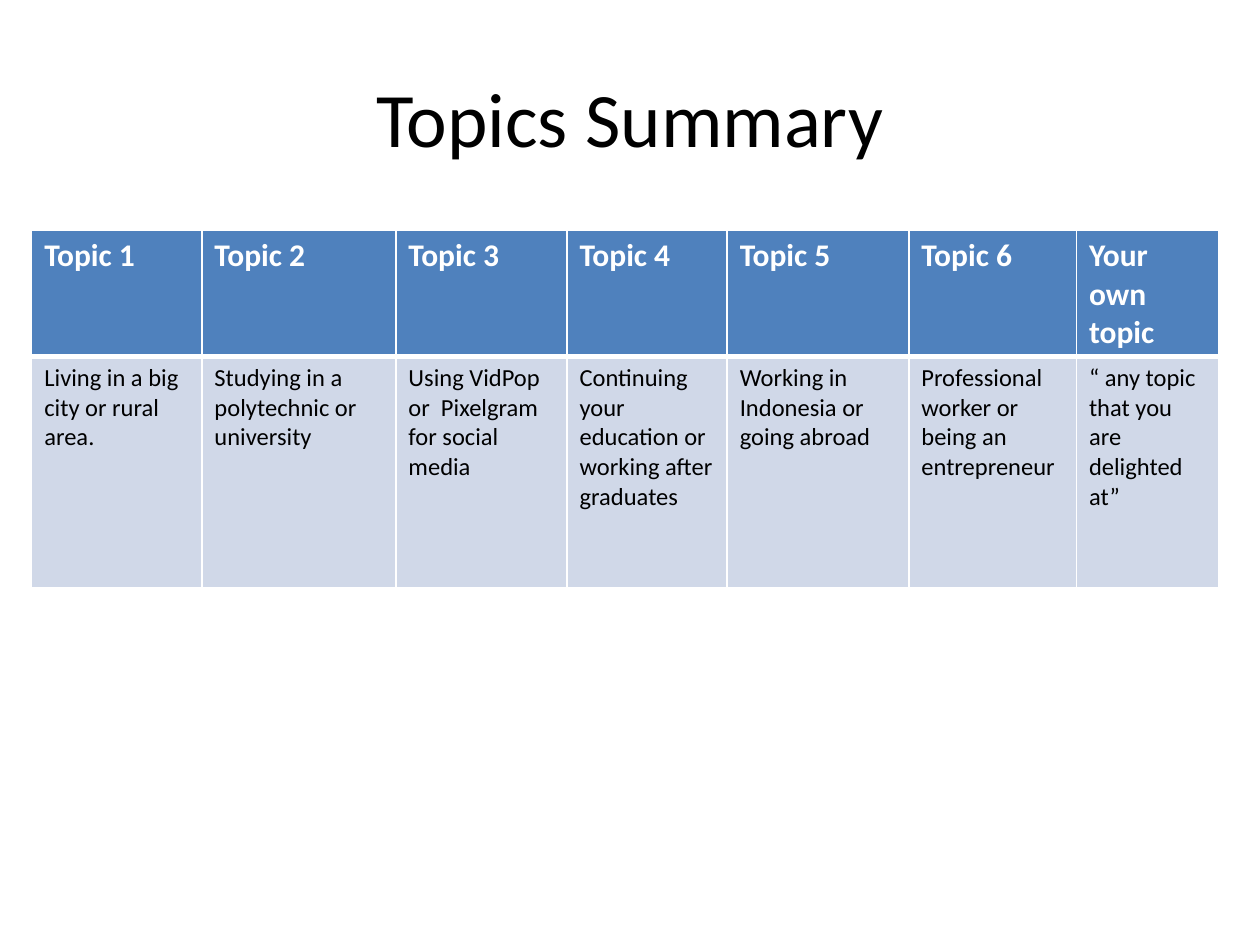
import lxml.etree
import pptx
import pptx.dml.color
import pptx.enum.text
import pptx.oxml.ns
import pptx.util

Cm = pptx.util.Cm
Pt = pptx.util.Pt

COLOURS = {
    "text": "000000",
    "header_text": "FFFFFF",
    "header_fill": "4F81BD",
    "body_fill": "D0D8E8",
    "border": "FFFFFF",
}
FORMATS = {
    "title": {"name": "Calibri", "size": Pt(44), "bold": False},
    "header": {"name": "Calibri", "size": Pt(18), "bold": True},
    "body": {"name": "Calibri", "size": Pt(14), "bold": False},
}
TOPICS = [
    ("Topic 1", "Living in a big city or rural area.", 3.43),
    ("Topic 2", "Studying in a polytechnic or university", 3.91),
    ("Topic 3", "Using VidPop or  Pixelgram for social media", 3.45),
    ("Topic 4", "Continuing your education or working after graduates", 3.23),
    ("Topic 5", "Working in Indonesia or going abroad", 3.66),
    ("Topic 6", "Professional worker or being an entrepreneur", 3.38),
    ("Your own topic", "“ any topic that you are delighted at”", 2.87),
]
ROWS = [
    {"style": "header", "text": "header_text", "fill": "header_fill", "height": 2.54,
     "borders": {"lnL": 1, "lnR": 1, "lnT": 1, "lnB": 3}},
    {"style": "body", "text": "text", "fill": "body_fill", "height": 4.65,
     "borders": {"lnL": 1, "lnR": 1, "lnT": 3, "lnB": 1}},
]


def colour(name):
    return pptx.dml.color.RGBColor.from_string(COLOURS[name])


def write(para, text, style, colour_name):
    span = para.add_run()
    span.text = text
    for attribute, value in FORMATS[style].items():
        setattr(span.font, attribute, value)
    span.font.color.rgb = colour(colour_name)


def add_borders(cell, borders):
    qn = pptx.oxml.ns.qn
    properties = cell._tc.get_or_add_tcPr()
    for side, width in borders.items():
        line = lxml.etree.SubElement(properties, qn(f"a:{side}"), w=str(Pt(width)))
        fill = lxml.etree.SubElement(line, qn("a:solidFill"))
        lxml.etree.SubElement(fill, qn("a:srgbClr"), val=COLOURS["border"])


def add_title(page, left, top, width, height):
    box = page.shapes.add_textbox(Cm(left), Cm(top), Cm(width), Cm(height))
    frame = box.text_frame
    frame.word_wrap = True
    frame.vertical_anchor = pptx.enum.text.MSO_ANCHOR.MIDDLE
    para = frame.paragraphs[0]
    para.alignment = pptx.enum.text.PP_ALIGN.CENTER
    write(para, "Topics Summary", "title", "text")


def add_topics(page, left, top, width, height):
    table = page.shapes.add_table(
        len(ROWS), len(TOPICS), Cm(left), Cm(top), Cm(width), Cm(height)
    ).table
    for row, look in zip(table.rows, ROWS):
        row.height = Cm(look["height"])
    for column, (heading, description, column_width) in enumerate(TOPICS):
        table.columns[column].width = Cm(column_width)
        for row, text in enumerate((heading, description)):
            look = ROWS[row]
            cell = table.cell(row, column)
            add_borders(cell, look["borders"])
            cell.fill.solid()
            cell.fill.fore_color.rgb = colour(look["fill"])
            write(cell.text_frame.paragraphs[0], text, look["style"], look["text"])


def main():
    deck = pptx.Presentation()
    deck.slide_width = Cm(25.4)
    deck.slide_height = Cm(19.05)
    page = deck.slides.add_slide(deck.slide_layouts[6])
    add_title(page, 1.27, 0.76, 22.86, 3.18)
    add_topics(page, 0.64, 4.65, sum(topic[2] for topic in TOPICS),
               sum(look["height"] for look in ROWS))
    deck.save("out.pptx")


if __name__ == "__main__":
    main()
